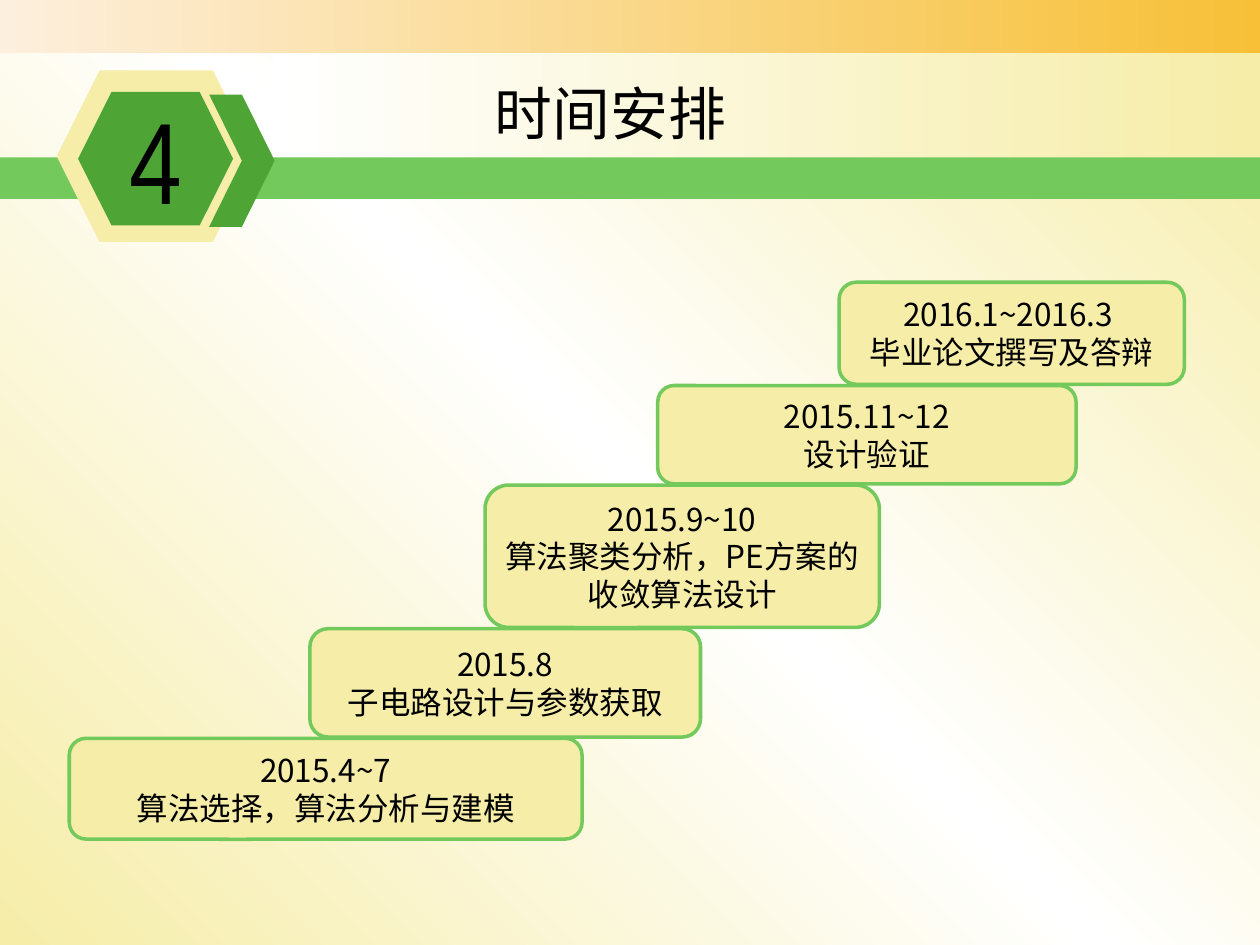
from copy import deepcopy
from dataclasses import dataclass

from lxml import etree
from pptx import Presentation
from pptx import util as u
from pptx.dml.color import RGBColor
from pptx.enum import shapes, text
from pptx.oxml.ns import qn

TITLE = "时间安排"
SECTION = "4"
# Earliest stage first: date, task, left column, columns wide, rows high
STAGES = [
    ("2015.4~7", "算法选择，算法分析与建模", 5.5, 40.7, 8),
    ("2015.8", "子电路设计与参数获取", 24.6, 31, 8.6),
    ("2015.9~10", "算法聚类分析，PE方案的收敛算法设计", 38.5, 31.3, 11.3),
    ("2015.11~12", "设计验证", 52.2, 33.2, 7.8),
    ("2016.1~2016.3 ", "毕业论文撰写及答辩", 66.6, 27.4, 8.1),
]
COLUMNS, ROWS = 100, 75
STAIR_BOTTOM, STAIR_GAP = 66.6, 0.1


@dataclass(frozen=True)
class Theme:
    cream: str = "F6EDA8"
    white: str = "FFFFFF"
    peach: str = "FDEFDD"
    amber: str = "F7C037"
    light_green: str = "73C95B"
    dark_green: str = "4EA536"
    ink: str = "000000"
    font: str = "Noto Sans CJK SC"
    number_font: str = "Arial Narrow"
    title_size: int = 33
    body_size: int = 18
    number_size: int = 66
    outline: int = 2


THEME = Theme()
SHAPE = shapes.MSO_SHAPE

presentation = Presentation()
presentation.slide_width, presentation.slide_height = u.Inches(10), u.Inches(7.5)
slide = presentation.slides.add_slide(presentation.slide_layouts[6])


def place(left, top, width, height):
    """Turn grid columns and rows into slide lengths."""
    column = presentation.slide_width / COLUMNS
    row = presentation.slide_height / ROWS
    return [round(v) for v in (left * column, top * row, width * column, height * row)]


def set_gradient(fill, owner, colors, angle=0):
    """Spread the colours evenly; owner is the XML element holding the fill."""
    fill.gradient()
    fill.gradient_angle = angle
    stop_list = next(owner.iter(qn("a:gsLst")))
    while len(stop_list) < len(colors):
        stop_list.append(deepcopy(stop_list[-1]))
    for index, (stop, color) in enumerate(zip(fill.gradient_stops, colors)):
        stop.color.rgb = RGBColor.from_string(color)
        stop.position = index / (len(colors) - 1)


def add_block(kind, box, colors):
    shape = slide.shapes.add_shape(kind, *place(*box))
    shape.shadow.inherit = False
    shape.line.fill.background()
    if len(colors) > 1:
        set_gradient(shape.fill, shape._element, colors)
    else:
        shape.fill.solid()
        shape.fill.fore_color.rgb = RGBColor.from_string(colors[0])
    return shape


def write(shape, lines, size, font=THEME.font, wrap=True):
    frame = shape.text_frame
    frame.word_wrap = wrap
    frame.vertical_anchor = text.MSO_ANCHOR.MIDDLE
    frame.text = "\n".join(lines)
    for paragraph in frame.paragraphs:
        paragraph.alignment = text.PP_ALIGN.CENTER
        paragraph.font.size = u.Pt(size)
        paragraph.font.color.rgb = RGBColor.from_string(THEME.ink)
        paragraph.font.name = font
        defaults = paragraph._p.get_or_add_pPr().find(qn("a:defRPr"))
        etree.SubElement(defaults, qn("a:ea"), typeface=font)


def add_header():
    add_block(SHAPE.RECTANGLE, (0, 0, 100, 4.2), [THEME.peach, THEME.amber])
    add_block(SHAPE.RECTANGLE, (21.7, 4.2, 78.3, 8.3), [THEME.white, THEME.cream])
    add_block(SHAPE.RECTANGLE, (0, 12.5, 100, 3.3), [THEME.light_green])
    add_block(SHAPE.HEXAGON, (4.5, 5.6, 15.8, 13.6), [THEME.cream])
    badge = add_block(SHAPE.HEXAGON, (6.2, 7.3, 12.3, 10.6), [THEME.dark_green])
    write(badge, [SECTION], THEME.number_size, THEME.number_font, wrap=False)
    add_block(SHAPE.CHEVRON, (16.6, 7.5, 5.2, 10.5), [THEME.dark_green])

    title = slide.shapes.add_textbox(*place(38.2, 5.6, 20.5, 6.6))
    frame = title.text_frame
    frame.margin_top = frame.margin_bottom = 0
    frame.auto_size = text.MSO_AUTO_SIZE.SHAPE_TO_FIT_TEXT
    write(title, [TITLE], THEME.title_size, wrap=False)


def add_stairs():
    bottom = STAIR_BOTTOM
    for date, task, left, width, height in STAGES:
        top = bottom - height
        step = add_block(SHAPE.ROUNDED_RECTANGULAR_CALLOUT,
                         (left, top, width, height), [THEME.cream])
        for index, value in enumerate((-0.165, 0.502, 0.167)):
            step.adjustments[index] = value
        step.line.color.rgb = RGBColor.from_string(THEME.light_green)
        step.line.width = u.Pt(THEME.outline)
        write(step, [date, task], THEME.body_size)
        bottom = top - STAIR_GAP


set_gradient(slide.background.fill, slide._element,
             [THEME.cream, THEME.white, THEME.cream], angle=45)
add_header()
add_stairs()
presentation.save("out.pptx")
